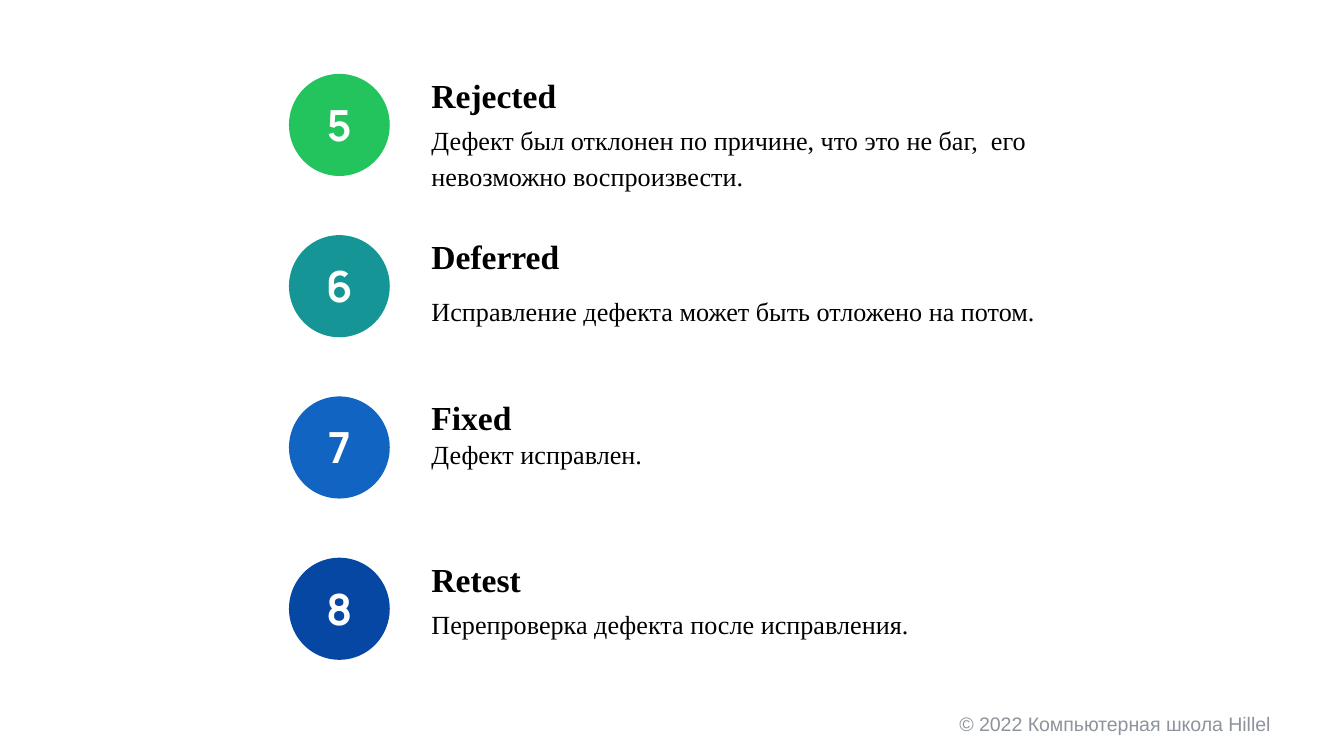
from pptx import Presentation
from pptx import util as u
from pptx.dml.color import RGBColor
from pptx.enum import shapes, text

COLS = 100
STEP = 12  # rows from one status to the next
SERIF = "Times New Roman"
STATES = [
    # number, circle colour, title, description, line spacing
    ("5", "23C35E", "Rejected",
     "Дефект был отклонен по причине, что это не баг,  его невозможно воспроизвести.", 1.15),
    ("6", "159596", "Deferred",
     "Исправление дефекта может быть отложено на потом.", 1.46),
    ("7", "1264C3", "Fixed", "Дефект исправлен.", 0.9),
    ("8", "0547A3", "Retest", "Перепроверка дефекта после исправления.", 1.15),
]


def color(code):
    return RGBColor.from_string(code)


class Deck:
    """Style and current slide; lengths are cells of a square grid."""

    def __init__(self):
        self.prs = Presentation()
        self.prs.slide_width = u.Inches(10)
        self.prs.slide_height = self.prs.slide_width * 9 // 16
        self.cell = self.prs.slide_width / COLS
        self.slide = self.prs.slides.add_slide(self.prs.slide_layouts[6])

    def box(self, *cells):
        return [round(c * self.cell) for c in cells]

    def circle(self, x, y, w, h, fill):
        dot = self.slide.shapes.add_shape(
            shapes.MSO_SHAPE.OVAL, *self.box(x, y, w, h))
        dot.shadow.inherit = False
        dot.fill.solid()
        dot.fill.fore_color.rgb = color(fill)
        dot.line.fill.background()

    def label(self, x, y, w, h, words, size, font=SERIF, ink="000000", bold=False,
              align=text.PP_ALIGN.LEFT, anchor=text.MSO_ANCHOR.TOP,
              lines=1.0, pad=(0.4, 0.2)):
        frame = self.slide.shapes.add_textbox(*self.box(x, y, w, h)).text_frame
        frame.word_wrap = True
        frame.vertical_anchor = anchor
        side, edge = self.box(*pad)
        frame.margin_left = frame.margin_right = side
        frame.margin_top = frame.margin_bottom = edge
        para = frame.paragraphs[0]
        para.alignment = align
        para.line_spacing = lines
        run = para.add_run()
        run.text = words
        run.font.name = font
        run.font.size = u.Pt(size)
        run.font.bold = bold
        run.font.color.rgb = color(ink)

    def state(self, y, number, fill, title, body, lines):
        """Draw one numbered status whose circle starts at row y."""
        self.circle(21.5, y, 7.5, 7.6, fill)
        self.label(22.6, y + 1.6, 5.3, 4.3, number, 23, "Manrope", "FFFFFF", True,
                   text.PP_ALIGN.CENTER, text.MSO_ANCHOR.MIDDLE)
        self.label(31.7, y + 0.2, 40, 3.1, title, 18, bold=True,
                   anchor=text.MSO_ANCHOR.BOTTOM, lines=0.9)
        self.label(31.7, y + 3.2, 46.8, 5.4 if len(body) > 60 else 2.7,
                   body, 14, lines=lines)


def main():
    deck = Deck()
    deck.label(70.4, 52.1, 26.7, 3.8, "© 2022 Компьютерная школа Hillel", 10.5,
               "Arial", "8D949E", pad=(1, 1))
    for i, state in enumerate(STATES):
        deck.state(5.5 + i * STEP, *state)
    deck.prs.save("out.pptx")


if __name__ == "__main__":
    main()
